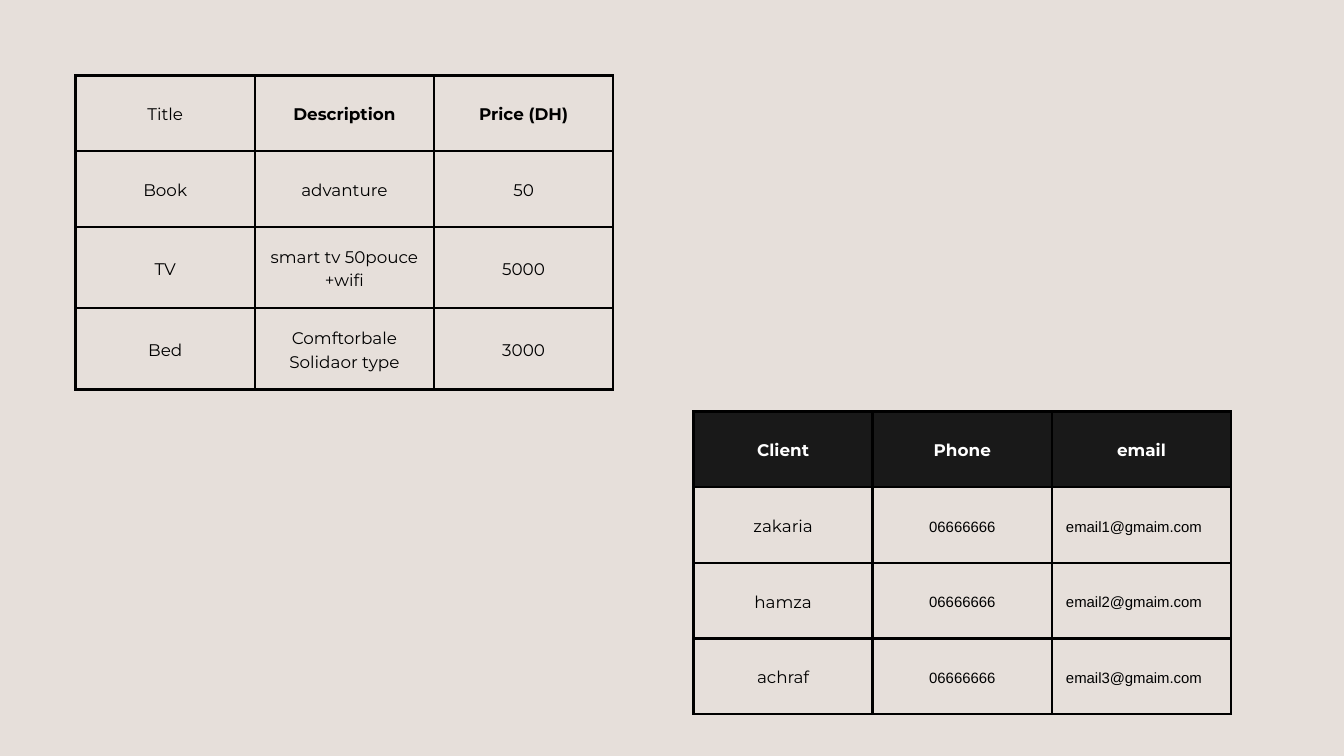
from dataclasses import dataclass
from itertools import product
from typing import NamedTuple

from lxml.etree import SubElement
from pptx import Presentation
from pptx.dml.color import RGBColor
from pptx.enum.text import MSO_ANCHOR, PP_ALIGN
from pptx.oxml.ns import qn
from pptx.table import _Cell
from pptx.util import Inches, Pt

WIDE, HIGH = Inches(20), Inches(11.25)
UNIT = WIDE / 160


@dataclass(frozen=True)
class Theme:
    back: str = "E6DFDA"
    ink: str = "000000"
    dark: str = "191919"
    light: str = "FFFFFF"
    main: str = "Montserrat"
    plain: str = "Arial"
    large: int = 18
    small: int = 16
    lead: float = 1.4
    rule: int = 3
    pad: float = 0.21


THEME = Theme()


class Style(NamedTuple):
    face: str = THEME.main
    size: int = THEME.large
    color: str = THEME.ink
    bold: bool = False
    align: PP_ALIGN = PP_ALIGN.CENTER
    fill: str | None = None


BODY = Style()
STRONG = Style(bold=True)
HEAD = Style(color=THEME.light, bold=True, fill=THEME.dark)
PHONE = Style(face=THEME.plain, size=THEME.small)
EMAIL = PHONE._replace(align=PP_ALIGN.JUSTIFY)


class Grid(NamedTuple):
    left: float
    top: float
    wide: float
    highs: tuple[float, ...]
    rows: tuple[tuple[str, ...], ...]
    head: tuple[Style, ...]
    body: tuple[Style, ...]


GOODS = Grid(
    9, 9, 64, (9, 9, 9.7, 9.7),
    (("Title", "Description", "Price (DH)"),
     ("Book", "advanture", "50"),
     ("TV", "smart tv 50pouce +wifi", "5000"),
     ("Bed", "Comftorbale Solidaor type", "3000")),
    (BODY, STRONG, STRONG), (BODY,) * 3)

CLIENTS = Grid(
    82.56, 49, 64, (9,) * 4,
    (("Client", "Phone", "email"),
     *((name, "06666666", f"email{n}@gmaim.com")
       for n, name in enumerate(("zakaria", "hamza", "achraf"), 1))),
    (HEAD,) * 3, (BODY, PHONE, EMAIL))


def span(units: float) -> int:
    return round(units * UNIT)


def apply(item: object, values: dict) -> None:
    for key, value in values.items():
        setattr(item, key, value)


def edge(cell: _Cell) -> None:
    props = cell._tc.get_or_add_tcPr()
    for side in ("lnL", "lnR", "lnT", "lnB"):
        line = SubElement(props, qn(f"a:{side}"), w=str(Pt(THEME.rule)))
        fill = SubElement(line, qn("a:solidFill"))
        SubElement(fill, qn("a:srgbClr"), val=THEME.ink)


def write(cell: _Cell, text: str, style: Style) -> None:
    edge(cell)
    if style.fill:
        cell.fill.solid()
        cell.fill.fore_color.rgb = RGBColor.from_string(style.fill)
    else:
        cell.fill.background()
    sides = ("left", "right", "top", "bottom")
    apply(cell, {f"margin_{side}": Inches(THEME.pad) for side in sides})
    cell.vertical_anchor = MSO_ANCHOR.MIDDLE
    para = cell.text_frame.paragraphs[0]
    apply(para, {"alignment": style.align,
                 "line_spacing": Pt(style.size * THEME.lead)})
    run = para.add_run()
    run.text = text
    apply(run.font, {"name": style.face, "size": Pt(style.size),
                     "bold": style.bold})
    run.font.color.rgb = RGBColor.from_string(style.color)


def draw(slide, grid: Grid) -> None:
    count, cols = len(grid.rows), len(grid.body)
    table = slide.shapes.add_table(
        count, cols, span(grid.left), span(grid.top),
        span(grid.wide), span(sum(grid.highs))).table
    apply(table, {"first_row": False, "horz_banding": False})
    for col in table.columns:
        col.width = span(grid.wide / cols)
    for row, high in zip(table.rows, grid.highs):
        row.height = span(high)
    for r, c in product(range(count), range(cols)):
        style = grid.body[c] if r else grid.head[c]
        write(table.cell(r, c), grid.rows[r][c], style)


def main() -> None:
    deck = Presentation()
    apply(deck, {"slide_width": WIDE, "slide_height": HIGH})
    slide = deck.slides.add_slide(deck.slide_layouts[6])
    slide.background.fill.solid()
    slide.background.fill.fore_color.rgb = RGBColor.from_string(THEME.back)
    for grid in (GOODS, CLIENTS):
        draw(slide, grid)
    deck.save("out.pptx")


if __name__ == "__main__":
    main()
